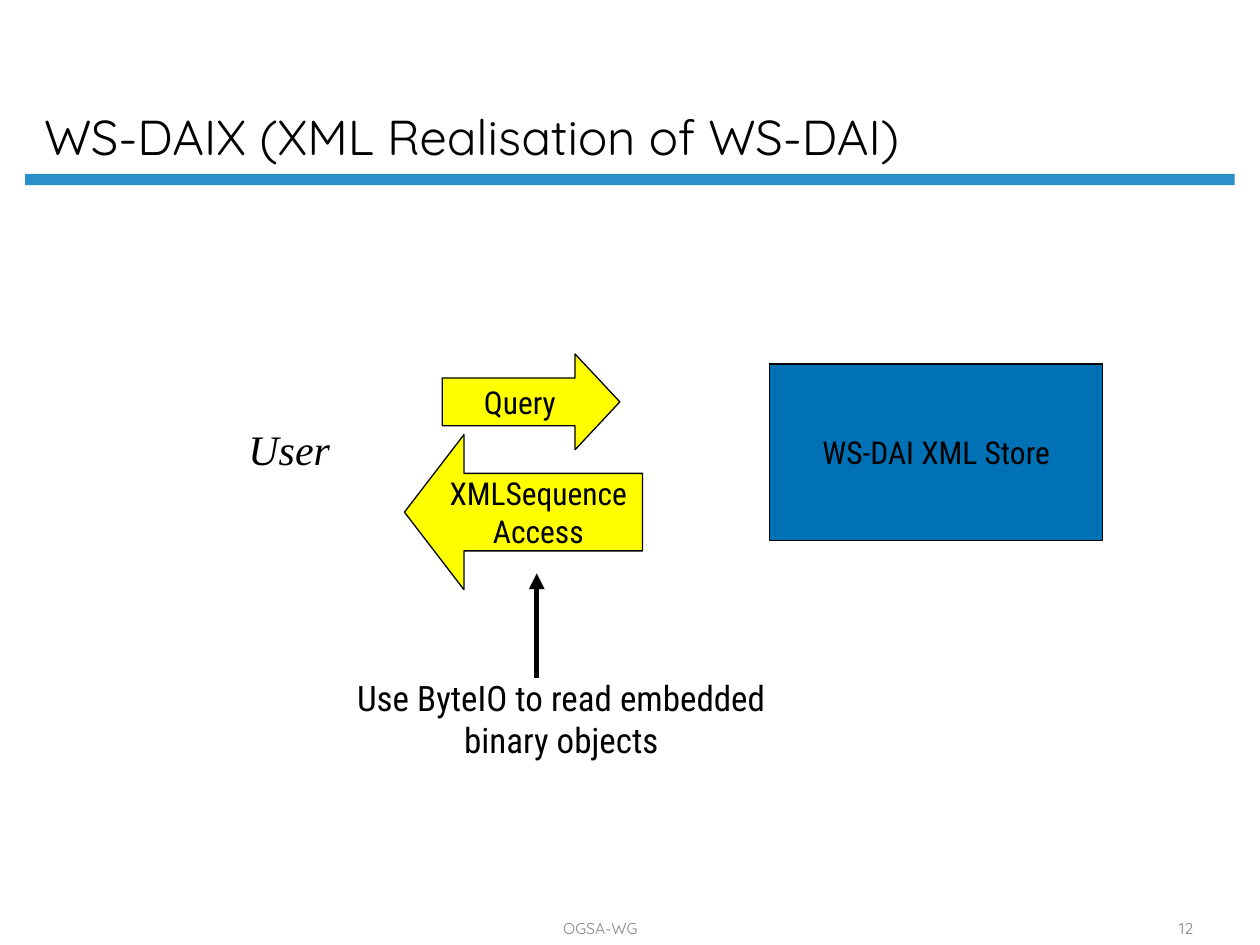
from lxml import etree
from pptx import Presentation
from pptx.dml.color import RGBColor
from pptx.enum import shapes, text
from pptx.oxml import ns
from pptx.util import Inches, Pt

BLACK = RGBColor(0x00, 0x00, 0x00)
GREY = RGBColor(0x84, 0x85, 0x89)
RULE_BLUE = RGBColor(0x29, 0x90, 0xCA)
STORE_BLUE = RGBColor(0x00, 0x71, 0xB5)
YELLOW = RGBColor(0xFF, 0xFF, 0x00)

KIND = shapes.MSO_SHAPE
ANCHOR = text.MSO_ANCHOR
CENTER = text.PP_ALIGN.CENTER

# Content: positions are left, top, width, height in inches
TITLE = "WS-DAIX (XML Realisation of WS-DAI)"
TITLE_AT = (0.25, 0.12, 8.56, 1.25)
RULE_AT = (0.2, 1.38, 9.6, 0.09)
POINTER = (4.26, 5.38, 4.26, 4.55)

# kind, position, adjustments, fill, lines
BLOCKS = [
    (KIND.RECTANGLE, (6.11, 2.89, 2.64, 1.4), (), STORE_BLUE, ["WS-DAI XML Store"]),
    (KIND.LEFT_ARROW, (3.21, 3.45, 1.89, 1.23), (0.5, 0.384), YELLOW,
     ["XMLSequence", "Access"]),
    (KIND.RIGHT_ARROW, (3.51, 2.81, 1.41, 0.76), (0.5, 0.468), YELLOW, ["Query"]),
]

BLOCK_FONT = {"name": "Roboto Condensed", "size": Pt(18)}
FOOTER_FONT = {"name": "Quicksand", "size": Pt(9)}

# text, position, wrap, anchor, line spacing, colour, font
LABELS = [
    ("User", (1.87, 3.36, 0.85, 0.46), False, ANCHOR.TOP, 0.9, BLACK,
     {"name": "Times New Roman", "size": Pt(24), "italic": True}),
    ("Use ByteIO to read embedded binary objects", (2.7, 5.32, 3.51, 1.1),
     True, ANCHOR.TOP, 1.0, BLACK, {"name": "Roboto Condensed", "size": Pt(20)}),
    ("OGSA-WG", (2.33, 7.25, 4.87, 0.24), True, ANCHOR.BOTTOM, 1.0, GREY, FOOTER_FONT),
    ("12", (9, 7.25, 0.83, 0.24), True, ANCHOR.BOTTOM, 1.0, GREY, FOOTER_FONT),
]


def inches(values):
    return [Inches(v) for v in values]


def write(tf, lines, font, color=BLACK, align=CENTER, anchor=ANCHOR.MIDDLE,
          wrap=False, spacing=1.0):
    tf.word_wrap = wrap
    tf.vertical_anchor = anchor
    for i, line in enumerate(lines):
        p = tf.paragraphs[0] if i == 0 else tf.add_paragraph()
        p.alignment = align
        p.line_spacing = spacing
        r = p.add_run()
        r.text = line
        r.font.color.rgb = color
        for key, value in font.items():
            setattr(r.font, key, value)


def add_block(s, kind, at, fill):
    sp = s.shapes.add_shape(kind, *inches(at))
    sp.shadow.inherit = False
    sp.fill.solid()
    sp.fill.fore_color.rgb = fill
    return sp


prs = Presentation()
prs.slide_width, prs.slide_height = Inches(10), Inches(7.5)
s = prs.slides.add_slide(prs.slide_layouts[5])

# Title and rule
title = s.shapes.title
title.left, title.top, title.width, title.height = inches(TITLE_AT)
write(title.text_frame, [TITLE], {"name": "Quicksand", "size": Pt(28)},
      align=text.PP_ALIGN.LEFT, anchor=ANCHOR.BOTTOM, wrap=True, spacing=0.9)
add_block(s, KIND.RECTANGLE, RULE_AT, RULE_BLUE).line.fill.background()

# Store and message arrows
for kind, at, adjustments, fill, lines in BLOCKS:
    sp = add_block(s, kind, at, fill)
    for i, value in enumerate(adjustments):
        sp.adjustments[i] = value
    sp.line.color.rgb = BLACK
    sp.line.width = Pt(0.75)
    write(sp.text_frame, lines, BLOCK_FONT)

# Free labels and footer
for words, at, wrap, anchor, spacing, color, font in LABELS:
    box = s.shapes.add_textbox(*inches(at))
    write(box.text_frame, [words], font, color, anchor=anchor, wrap=wrap, spacing=spacing)

# Pointer from the caption up to the access arrow
pointer = s.shapes.add_connector(shapes.MSO_CONNECTOR.STRAIGHT, *inches(POINTER))
pointer.line.color.rgb = BLACK
pointer.line.width = Pt(3)
etree.SubElement(pointer.line._get_or_add_ln(), ns.qn("a:tailEnd"), type="triangle")
etree.SubElement(pointer._element.spPr, ns.qn("a:effectLst"))

prs.save("out.pptx")
